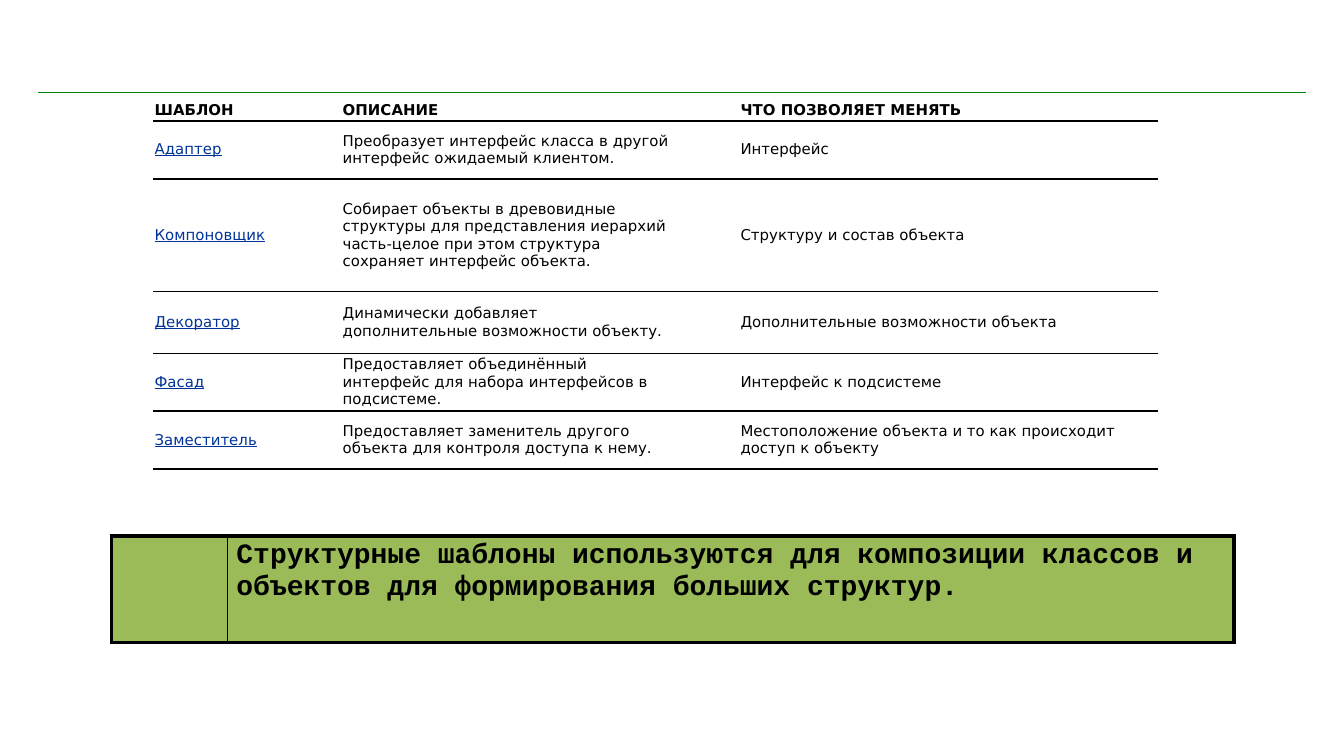
from dataclasses import dataclass
from typing import NamedTuple

from lxml.etree import SubElement
from pptx import Presentation
from pptx.dml.color import RGBColor
from pptx.enum.shapes import MSO_CONNECTOR
from pptx.enum.text import MSO_ANCHOR
from pptx.oxml.ns import qn
from pptx.util import Inches, Pt


@dataclass(frozen=True)
class Theme:
    """Colours, fonts and type sizes of the slide."""
    ink: str = "000000"
    link: str = "003399"
    rule: str = "008000"
    band: str = "9BBB59"
    sans: str = "DejaVu Sans"
    mono: str = "Courier New"
    small: float = 8
    large: float = 15
    plain: str = "{2D5ABB26-0587-4C30-8999-92F81FD0307C}"


class Grid(NamedTuple):
    """Place and track sizes of a table, in inches."""
    left: float
    top: float
    cols: tuple
    rows: tuple


class Style(NamedTuple):
    """Look of a run of text."""
    font: str
    size: float
    color: str
    bold: bool = False
    under: bool = False


class Item(NamedTuple):
    """One design pattern."""
    name: str
    about: str
    change: str


THEME = Theme()
HEAD = Style(THEME.sans, THEME.small, THEME.ink, bold=True)
LINK = Style(THEME.sans, THEME.small, THEME.link, under=True)
BODY = Style(THEME.sans, THEME.small, THEME.ink)
NOTE = Style(THEME.mono, THEME.large, THEME.ink, bold=True)

LIST = Grid(1.14, 0.74, (1.4, 2.5, 0.46, 3.12), (0.16, 0.43, 0.84, 0.46, 0.43, 0.43))
BAND = Grid(0.83, 3.99, (0.86, 7.49), (0.79,))

ITEMS = (
    Item("ШАБЛОН", "ОПИСАНИЕ", "ЧТО ПОЗВОЛЯЕТ МЕНЯТЬ"),
    Item("Адаптер", "Преобразует интерфейс класса в другой интерфейс ожидаемый клиентом.",
         "Интерфейс"),
    Item("Компоновщик", "Собирает объекты в древовидные структуры для представления иерархий "
         "часть-целое при этом структура сохраняет интерфейс объекта.",
         "Структуру и состав объекта"),
    Item("Декоратор", "Динамически добавляет дополнительные возможности объекту.",
         "Дополнительные возможности объекта"),
    Item("Фасад", "Предоставляет объединённый интерфейс для набора интерфейсов в подсистеме.",
         "Интерфейс к подсистеме"),
    Item("Заместитель", "Предоставляет заменитель другого объекта для контроля доступа к нему.",
         "Местоположение объекта и то как происходит доступ к объекту"),
)
CLAIM = ("Структурные шаблоны используются для композиции классов и объектов "
         "для формирования больших структур.")


def add_grid(slide, grid: Grid):
    """Add an unstyled table and return it."""
    size = (Inches(sum(grid.cols)), Inches(sum(grid.rows)))
    frame = slide.shapes.add_table(len(grid.rows), len(grid.cols),
                                   Inches(grid.left), Inches(grid.top), *size)
    table = frame.table
    table.first_row = table.horz_banding = False
    table._tbl.tblPr.find(qn("a:tableStyleId")).text = THEME.plain
    for col, width in zip(table.columns, grid.cols):
        col.width = Inches(width)
    for row, height in zip(table.rows, grid.rows):
        row.height = Inches(height)
    return table


def set_edge(cell, **edges: float) -> None:
    """Draw cell borders, given in points by side in the order L, R, T, B."""
    props = cell._tc.get_or_add_tcPr()
    for side, width in edges.items():
        line = SubElement(props, qn(f"a:ln{side}"), w=str(Pt(width)))
        fill = SubElement(line, qn("a:solidFill"))
        SubElement(fill, qn("a:srgbClr"), val=THEME.ink)


def set_pad(cell, side: float, end: float) -> None:
    """Set the cell margins in inches."""
    cell.margin_left = cell.margin_right = Inches(side)
    cell.margin_top = cell.margin_bottom = Inches(end)


def add_text(cell, text: str, style: Style) -> None:
    """Write one run, or size the empty paragraph."""
    para = cell.text_frame.paragraphs[0]
    if not text:
        SubElement(para._p, qn("a:endParaRPr"), sz=str(int(style.size * 100)))
        return
    run = para.add_run()
    run.text = text
    font = run.font
    font.name, font.size = style.font, Pt(style.size)
    font.bold, font.underline = style.bold, style.under
    font.color.rgb = RGBColor.from_string(style.color)


def add_rule(slide) -> None:
    """Draw the green line above the list."""
    line = slide.shapes.add_connector(MSO_CONNECTOR.STRAIGHT, Inches(0.28), Inches(0.69),
                                      Inches(9.72), Inches(0.69))
    line.line.color.rgb = RGBColor.from_string(THEME.rule)
    line.line.width = Pt(0.75)
    SubElement(line._element.spPr, qn("a:effectLst"))


def add_list(slide) -> None:
    """Draw the table of patterns."""
    table = add_grid(slide, LIST)
    for row, item in enumerate(ITEMS):
        texts = (item.name, item.about, "", item.change)
        styles = (LINK, BODY, BODY, BODY) if row else (HEAD,) * 4
        for col, (text, style) in enumerate(zip(texts, styles)):
            cell = table.cell(row, col)
            set_edge(cell, B=1)
            set_pad(cell, 0.01, 0.01)
            cell.vertical_anchor = MSO_ANCHOR.MIDDLE
            cell.fill.background()
            add_text(cell, text, style)


def add_band(slide) -> None:
    """Draw the green band with the claim."""
    table = add_grid(slide, BAND)
    texts = ("", CLAIM)
    edges = ((2.25, 0.5), (0.5, 2.25))
    for col, (text, (left, right)) in enumerate(zip(texts, edges)):
        cell = table.cell(0, col)
        set_edge(cell, L=left, R=right, T=2.25, B=2.25)
        set_pad(cell, 0.07, 0.03)
        cell.fill.solid()
        cell.fill.fore_color.rgb = RGBColor.from_string(THEME.band)
        add_text(cell, text, NOTE)


def main() -> None:
    """Build and save the slide."""
    deck = Presentation()
    deck.slide_width, deck.slide_height = Inches(10), Inches(90 / 16)
    slide = deck.slides.add_slide(deck.slide_layouts[6])
    add_rule(slide)
    add_list(slide)
    add_band(slide)
    deck.save("out.pptx")


if __name__ == "__main__":
    main()
